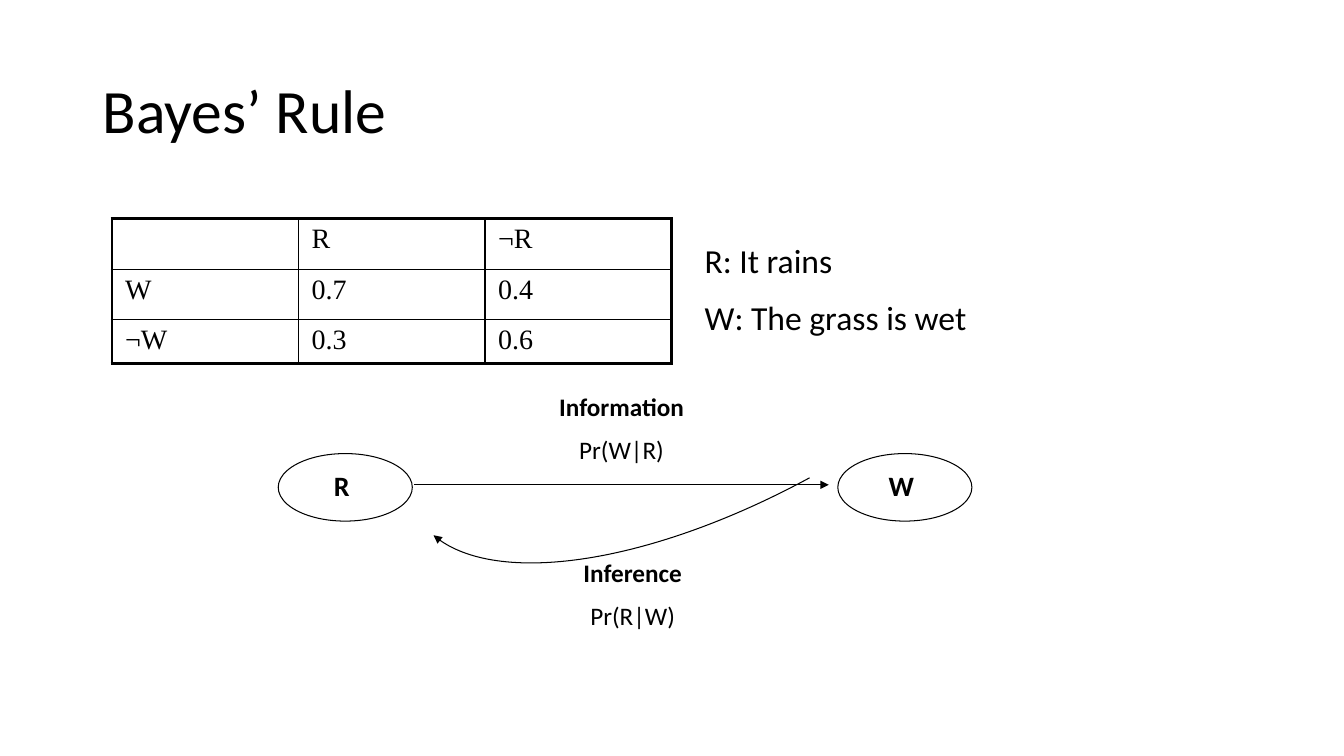
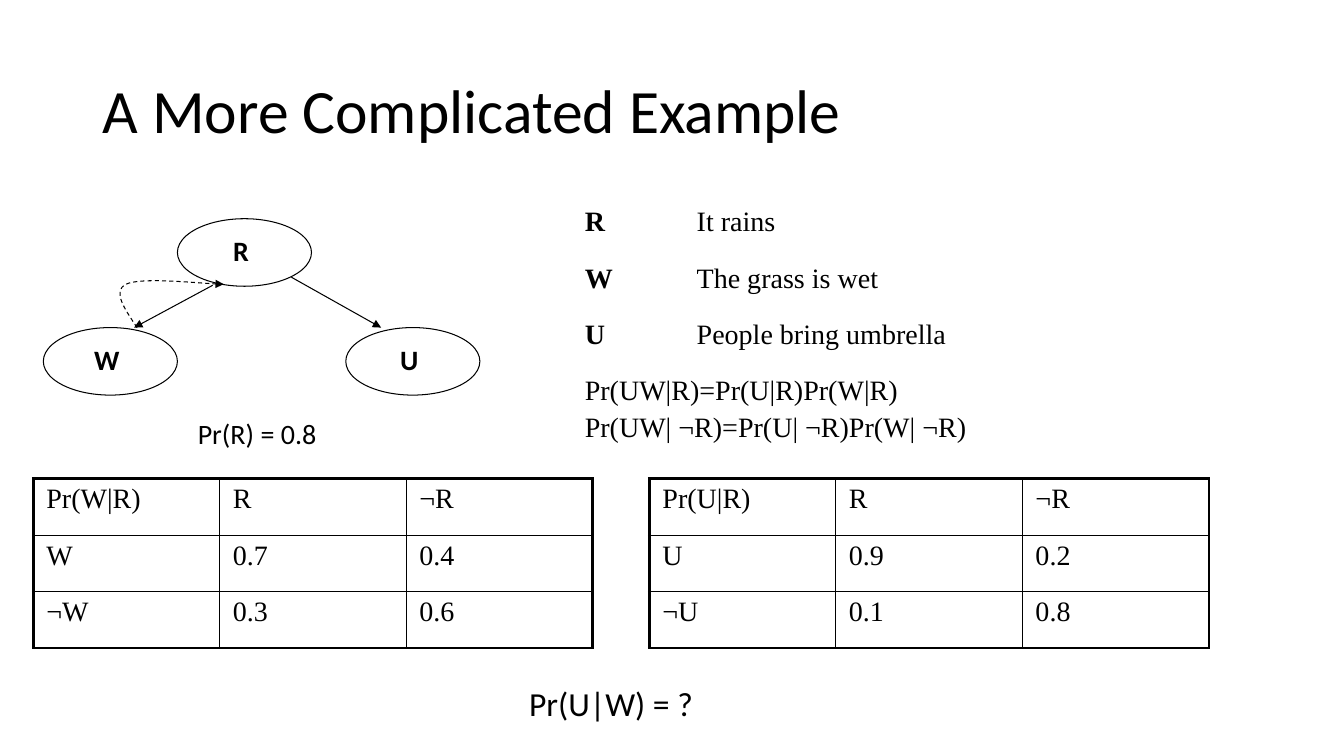
from lxml import etree
from pptx import Presentation
from pptx.dml.color import RGBColor
from pptx.enum.dml import MSO_LINE
from pptx.enum.shapes import MSO_CONNECTOR, MSO_SHAPE
from pptx.enum.text import MSO_ANCHOR, PP_ALIGN
from pptx.oxml.ns import qn
from pptx.util import Inches, Pt

BLACK = RGBColor(0, 0, 0)
SANS, SERIF = "Calibri", "Times New Roman"
LEFT, CENTER = PP_ALIGN.LEFT, PP_ALIGN.CENTER
MIDDLE = MSO_ANCHOR.MIDDLE
OVAL, STRAIGHT, DASH = MSO_SHAPE.OVAL, MSO_CONNECTOR.STRAIGHT, MSO_LINE.DASH
NODE_W, NODE_H = 1.33, 0.67
THICK, THIN = 2.25, 1

# Boxes are (left, top, width, height); text is (lines, box, size, align, bold head).
# Grids are (cells, left, top, row heights); curves are Bezier points.
SLIDES = [
    {
        "title": "Bayes’ Rule",
        "grids": [
            ([["", "R", "¬R"], ["W", "0.7", "0.4"], ["¬W", "0.3", "0.6"]],
             1.11, 2.17, [0.5, 0.5, 0.42]),
        ],
        "nodes": [("R", 2.76, 4.5), ("W", 8.31, 4.5)],
        "arrows": [((4.11, 4.81), (8.22, 4.81))],
        "curve": [(8.03, 4.74), (6.46, 5.59), (4.89, 5.82), (4.3, 5.31)],
        "dash": None,
        "texts": [
            (["R: It rains", "W: The grass is wet"],
             (6.89, 2.33, 5.78, 1.08), 24, LEFT, False),
            (["Information", "Pr(W|R)"], (5.11, 3.83, 2.11, 0.85), 18, CENTER, True),
            (["Inference", "Pr(R|W)"], (5.22, 5.48, 2.11, 0.85), 18, CENTER, True),
        ],
    },
    {
        "title": "A More Complicated Example",
        "grids": [
            ([["Pr(W|R)", "R", "¬R"], ["W", "0.7", "0.4"], ["¬W", "0.3", "0.6"]],
             0.33, 4.75, [0.56] * 3),
            ([["Pr(U|R)", "R", "¬R"], ["U", "0.9", "0.2"], ["¬U", "0.1", "0.8"]],
             6.44, 4.75, [0.56] * 3),
        ],
        "nodes": [("R", 1.76, 2.17), ("W", 0.43, 3.25), ("U", 3.43, 3.25)],
        "arrows": [((2.11, 2.83), (1.33, 3.25)), ((2.89, 2.75), (3.78, 3.25))],
        "curve": [(1.36, 3.25), (1.24, 3.07), (1.11, 2.89), (1.25, 2.82),
                  (1.4, 2.75), (2.06, 2.82), (2.22, 2.82)],
        "dash": DASH,
        "texts": [
            (["Pr(U|W) = ?"], (1.56, 6.73, 9, 0.5), 24, CENTER, False),
            (["Pr(R) = 0.8"], (0.44, 4.08, 4.22, 0.43), 20, CENTER, False),
        ],
    },
]
TERMS = [
    ["R", "It rains"],
    ["W", "The grass is wet"],
    ["U", "People bring umbrella"],
    ["Pr(UW|R)=Pr(U|R)Pr(W|R)\nPr(UW| ¬R)=Pr(U| ¬R)Pr(W| ¬R)", ""],
]


def write(frame, lines, size, font=SANS, align=LEFT, bold=False, gap=0.5):
    """Fill a frame; bold marks the first line, gap is a share of the size."""
    frame.text = "\n".join(lines)
    frame.word_wrap = True
    for i, para in enumerate(frame.paragraphs):
        para.alignment = align
        if i:
            para.space_before = Pt(size * gap)
        for run in para.runs:
            run.font.name, run.font.size = font, Pt(size)
            run.font.bold = bold and i == 0
            run.font.color.rgb = BLACK


def add_text(slide, lines, box, size, align=LEFT, bold=False):
    frame = slide.shapes.add_textbox(*map(Inches, box)).text_frame
    write(frame, lines, size, align=align, bold=bold)
    return frame


def add_title(slide, text):
    frame = add_text(slide, [text], (0.92, 0.4, 11.5, 1.45), 44)
    frame.vertical_anchor = MIDDLE
    frame.paragraphs[0].line_spacing = 0.9


def set_line(line):
    line.color.rgb = BLACK
    line.width = Pt(0.75)


def add_head(shape):
    line = shape.element.spPr.find(qn("a:ln"))
    etree.SubElement(line, qn("a:tailEnd"), type="triangle")


def add_node(slide, name, x, y):
    node = slide.shapes.add_shape(OVAL, *map(Inches, (x, y, NODE_W, NODE_H)))
    node.shadow.inherit = False
    node.fill.background()
    set_line(node.line)
    frame = node.text_frame
    write(frame, [name], 20, align=CENTER, bold=True)
    frame.vertical_anchor = MIDDLE
    frame.margin_left = frame.margin_top = 0
    frame.margin_right, frame.margin_bottom = Inches(0.07), Inches(0.04)


def add_arrow(slide, start, end):
    arrow = slide.shapes.add_connector(STRAIGHT, *map(Inches, start + end))
    set_line(arrow.line)
    add_head(arrow)
    etree.SubElement(arrow.element.spPr, qn("a:effectLst"))


def add_curve(slide, points, dash):
    """Draw an arrow along Bezier points: a start, then three per segment."""
    spots = [(Inches(x), Inches(y)) for x, y in points]
    form = slide.shapes.build_freeform(*spots[0])
    form.add_line_segments(spots[1:], close=False)
    curve = form.convert_to_shape()
    route = curve.element.find(".//" + qn("a:path"))
    steps = route.findall(qn("a:lnTo"))
    for i in range(0, len(steps), 3):
        bend = etree.SubElement(route, qn("a:cubicBezTo"))
        for step in steps[i:i + 3]:
            bend.append(step[0])
            route.remove(step)
    curve.shadow.inherit = False
    curve.fill.background()
    set_line(curve.line)
    if dash:
        curve.line.dash_style = dash
    add_head(curve)


def set_edges(cell, widths):
    """Set left, right, top and bottom borders in points; 0 means none."""
    props = cell._tc.get_or_add_tcPr()
    for i, (side, width) in enumerate(zip("LRTB", widths)):
        edge = etree.Element(qn("a:ln" + side), w=str(Pt(width)))
        props.insert(i, edge)
        if width:
            fill = etree.SubElement(edge, qn("a:solidFill"))
            etree.SubElement(fill, qn("a:srgbClr"), val=str(BLACK))
        else:
            etree.SubElement(edge, qn("a:noFill"))


def add_table(slide, cells, x, y, cols, rows, ruled=True):
    """Add a table, ruled with a thick frame or else with bold row heads."""
    box = map(Inches, (x, y, sum(cols), sum(rows)))
    table = slide.shapes.add_table(len(rows), len(cols), *box).table
    table.first_row = table.horz_banding = False
    for col, width in zip(table.columns, cols):
        col.width = Inches(width)
    for r, height in enumerate(rows):
        table.rows[r].height = Inches(height)
        for c, text in enumerate(cells[r]):
            cell = table.cell(r, c)
            cell.fill.background()
            cell.margin_left = cell.margin_right = Inches(0.13)
            lines = text.split("\n")
            head = not ruled and c == 0 and len(lines) == 1
            write(cell.text_frame, lines, 20, SERIF, bold=head, gap=0.2)
            outer = (c == 0, c == len(cols) - 1, r == 0, r == len(rows) - 1)
            set_edges(cell, [(THICK if out else THIN) if ruled else 0
                             for out in outer])
    return table


def add_terms(slide):
    table = add_table(slide, TERMS, 5.67, 2, [1.11, 5.44],
                      [0.56] * 3 + [0.83], ruled=False)
    table.cell(3, 0).merge(table.cell(3, 1))


def add_slide(deck, data):
    slide = deck.slides.add_slide(deck.slide_layouts[6])
    add_title(slide, data["title"])
    for cells, x, y, rows in data["grids"]:
        add_table(slide, cells, x, y, [1.85] * 3, rows)
    for node in data["nodes"]:
        add_node(slide, *node)
    for arrow in data["arrows"]:
        add_arrow(slide, *arrow)
    add_curve(slide, data["curve"], data["dash"])
    for text in data["texts"]:
        add_text(slide, *text)
    return slide


def main():
    deck = Presentation()
    deck.slide_width, deck.slide_height = Inches(13.33), Inches(7.5)
    _, example = [add_slide(deck, data) for data in SLIDES]
    add_terms(example)
    deck.save("out.pptx")


if __name__ == "__main__":
    main()
